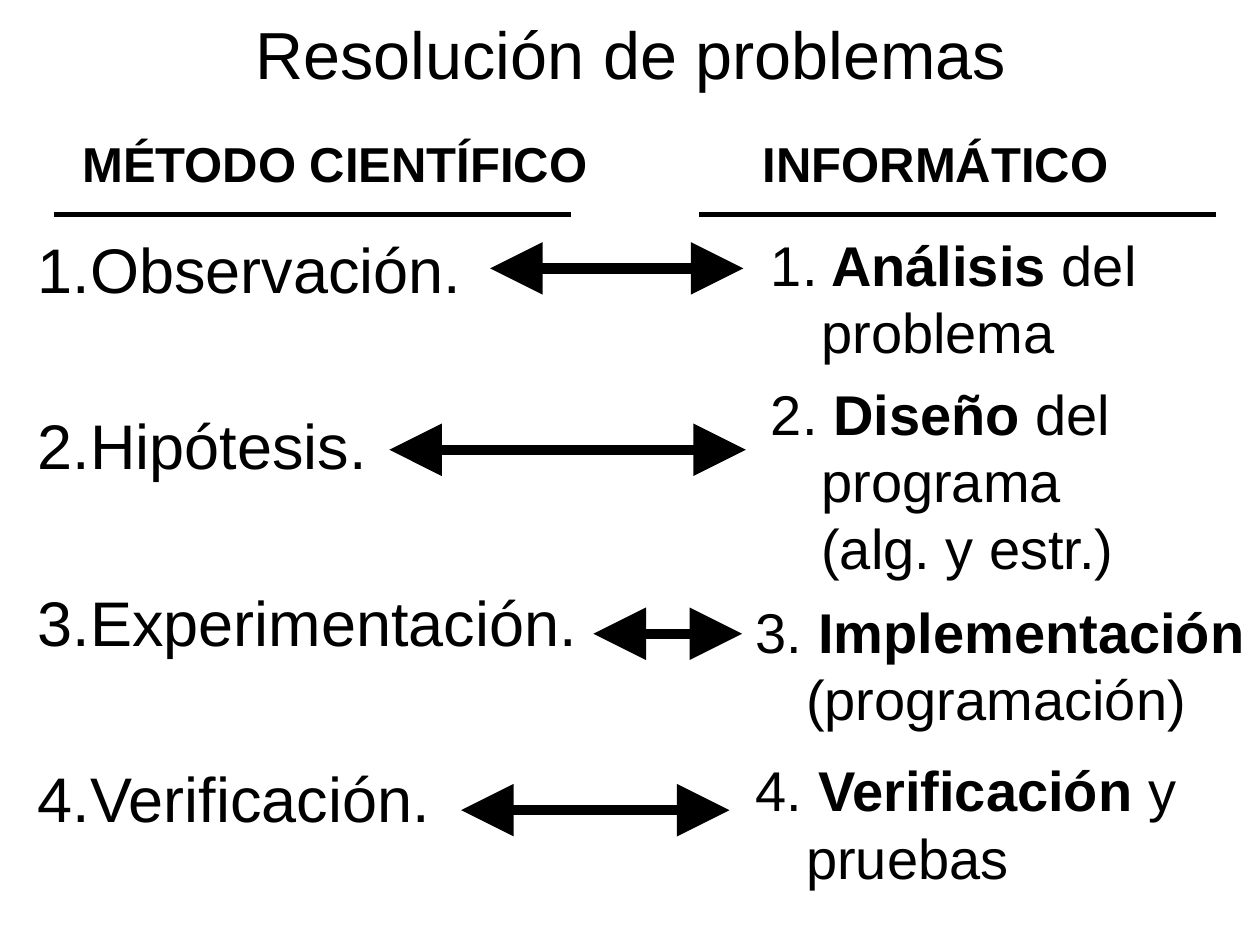
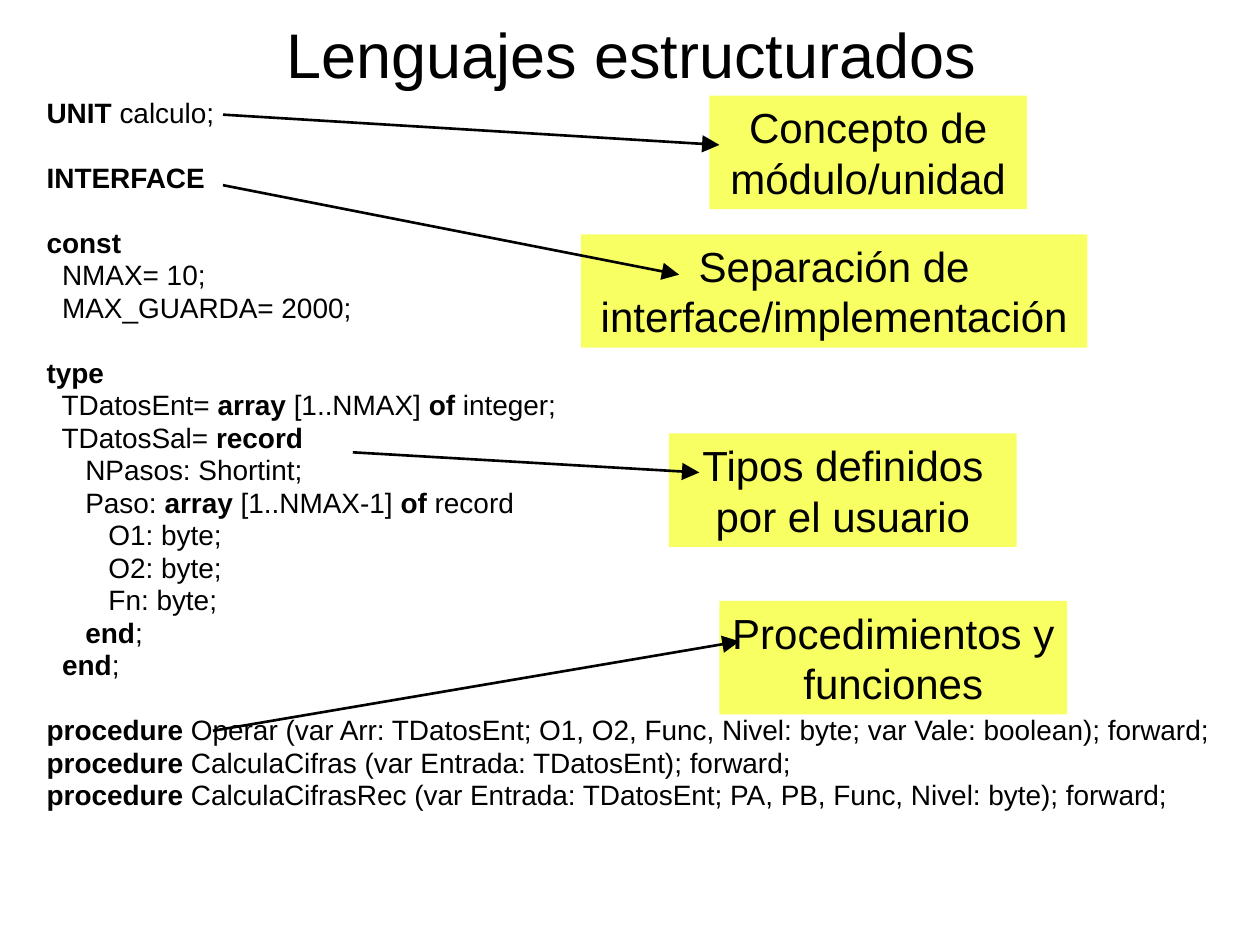
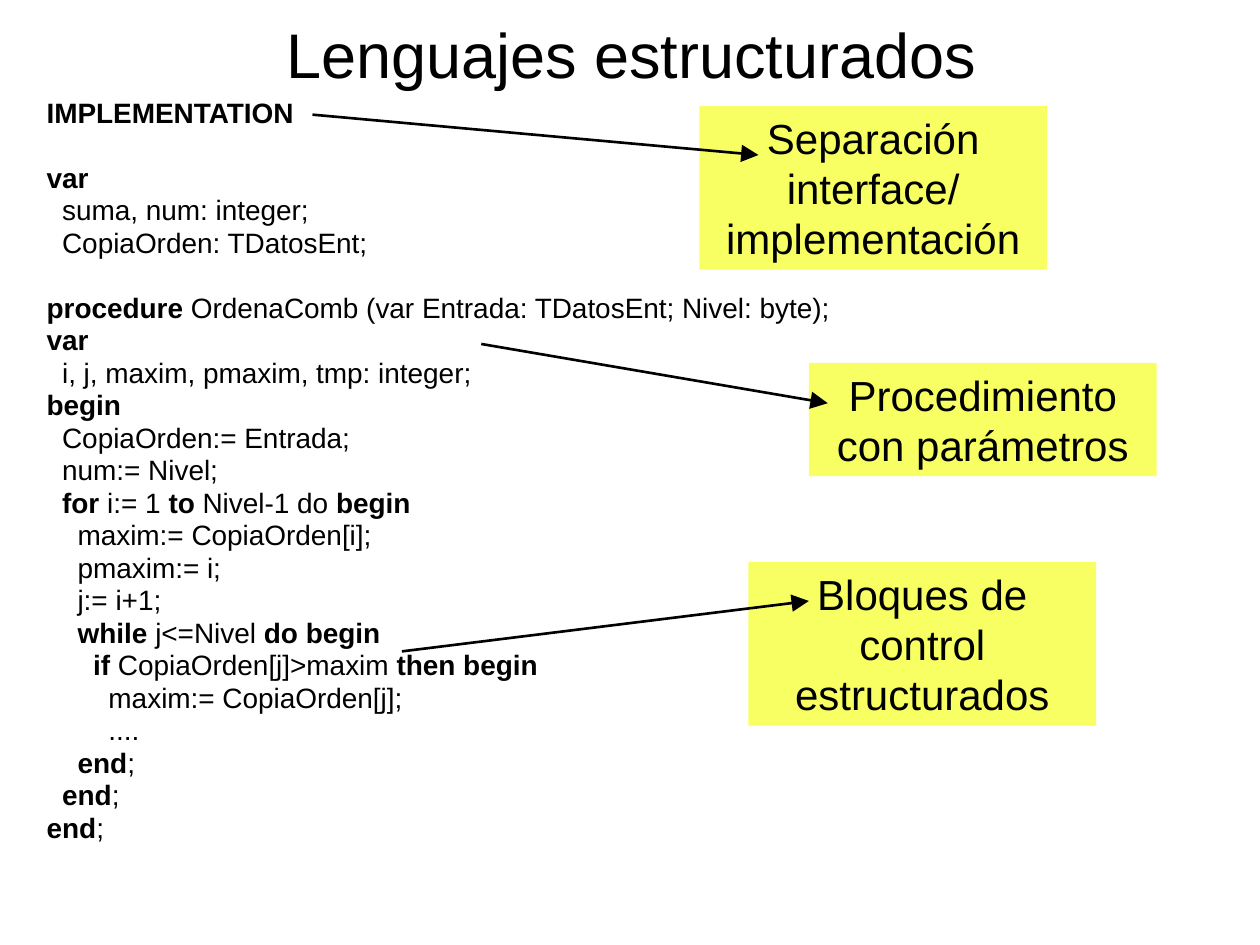
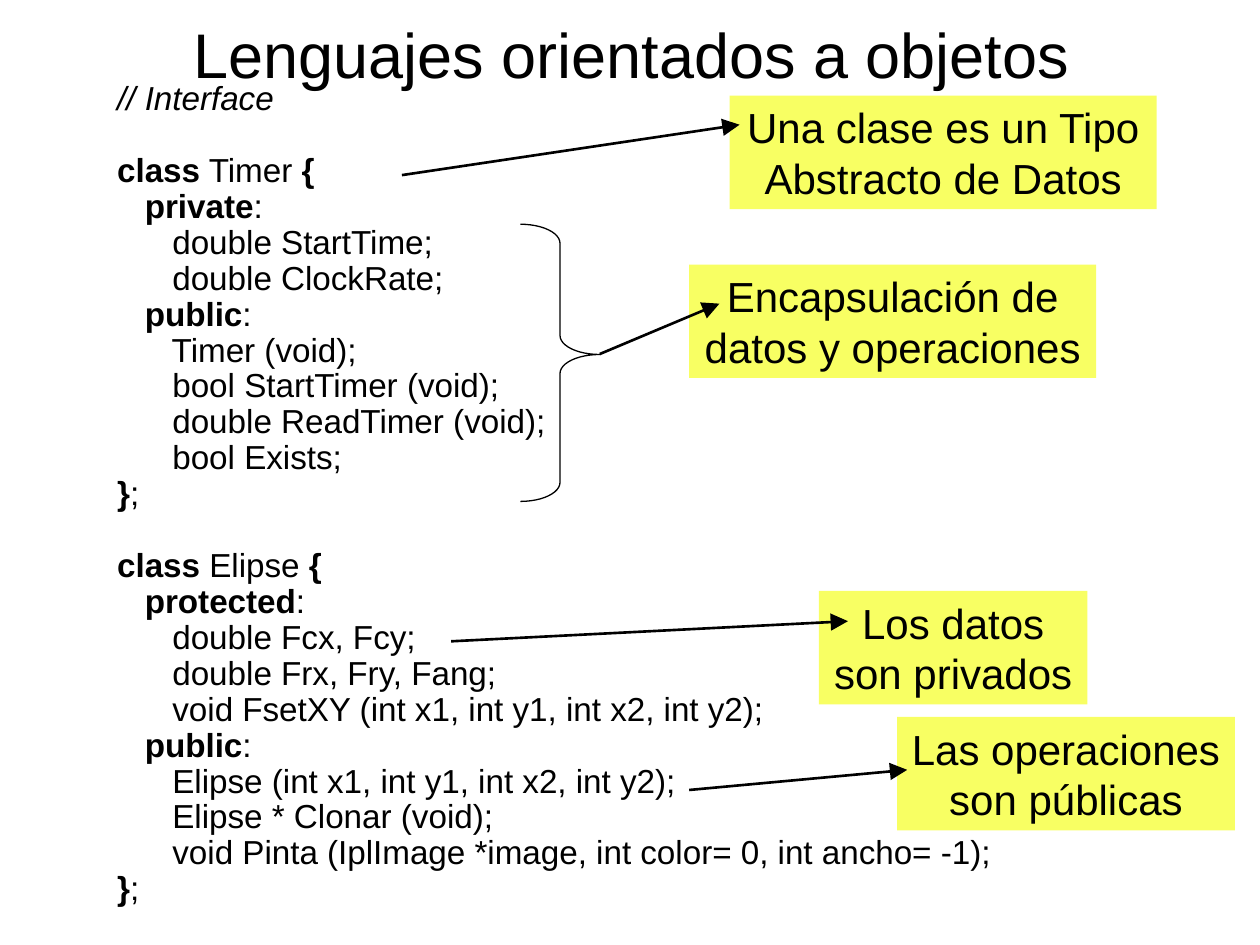
import pptx
import pptx.dml.color
import pptx.enum.shapes
import pptx.enum.text
import pptx.oxml.ns
import pptx.util
from lxml import etree

Inches, Pt = pptx.util.Inches, pptx.util.Pt
Shapes = pptx.enum.shapes.MSO_SHAPE
Align = pptx.enum.text.PP_ALIGN
Anchor = pptx.enum.text.MSO_ANCHOR

FONT, BLACK, YELLOW = "Arial", "000000", "F8FF63"
LINE_HEIGHT = 1.2  # line height of the font, as a share of its size
TITLE_AREA = (0.51, 0, 9, 0.84)

# In every text, "|" switches bold on and off.
METHOD = {
    "title": "Resolución de problemas",
    "heads": "|MÉTODO CIENTÍFICO\t\tINFORMÁTICO",
    "steps": ["Observación.", "", "Hipótesis.", "", "Experimentación.", "", "Verificación."],
    # text, box (left, top, width, height), arrow (from x, to x, y)
    "phases": [
        ("1.| Análisis |del problema", (6.02, 1.78, 3.23, 1.17), (3.89, 5.9, 2.13)),
        ("2. |Diseño| del programa (alg. y estr.)", (6.02, 2.96, 3.23, 1.7), (3.09, 5.92, 3.57)),
        ("3. |Implementación| (programación)", (5.9, 4.69, 4.1, 1.17), (4.71, 5.89, 5.03)),
        ("4. |Verificación| y pruebas", (5.9, 5.95, 4.1, 1.17), (3.66, 5.79, 6.43)),
    ],
    "rules": [0.43, 5.55],
}

# callouts: text, left, top, width, lines of text; arrows: from x, y, to x, y
CODE_PAGES = [
    {
        "title": "Lenguajes estructurados",
        "area": (0.27, 0.76, 9.53, 6.14),
        "format": {"size": 16, "spacing": 0.8, "gap": 3.2},
        "code": """\
|UNIT| calculo;

|INTERFACE

|const
  NMAX= 10;
  MAX_GUARDA= 2000;

|type
  TDatosEnt= |array| [1..NMAX] |of |integer;
  TDatosSal= |record
     NPasos: Shortint;
     Paso: |array| [1..NMAX-1] |of |record
        O1: byte;
        O2: byte;
        Fn: byte;
     |end|;
  |end|;

|procedure| Operar (var Arr: TDatosEnt; O1, O2, Func, Nivel: byte; var Vale: boolean); forward;
|procedure |CalculaCifras (var Entrada: TDatosEnt); forward;
|procedure |CalculaCifrasRec (var Entrada: TDatosEnt; PA, PB, Func, Nivel: byte); forward;""",
        "callouts": [
            ("Concepto de módulo/unidad", 5.63, 0.76, 2.52, 2),
            ("Separación de interface/implementación", 4.61, 1.86, 4.02, 2),
            ("Tipos definidos por el usuario", 5.31, 3.44, 2.76, 2),
            ("Procedimientos y funciones", 5.71, 4.77, 2.76, 2),
        ],
        "arrows": [(1.77, 1.47, 5.39, 2.18), (2.8, 3.59, 5.55, 3.75),
                   (1.69, 5.8, 5.87, 5.09), (1.77, 0.91, 5.71, 1.15)],
    },
    {
        "title": "Lenguajes estructurados",
        "area": (0.27, 0.76, 9.45, 6.3),
        "format": {"size": 16, "spacing": 0.8, "gap": 3.2},
        "code": """\
|IMPLEMENTATION

|var
  suma, num: integer;
  CopiaOrden: TDatosEnt;

|procedure| OrdenaComb (var Entrada: TDatosEnt; Nivel: byte);
|var
  i, j, maxim, pmaxim, tmp: integer;
|begin
  CopiaOrden:= Entrada;
  num:= Nivel;
  |for| i:= 1 |to| Nivel-1 do |begin
    maxim:= CopiaOrden[i];
    pmaxim:= i;
    j:= i+1;
    |while| j<=Nivel |do begin
      |if| CopiaOrden[j]>maxim |then begin
        maxim:= CopiaOrden[j];
        ....
    |end|;
  |end|;
|end|;""",
        "callouts": [
            ("Procedimiento con parámetros", 6.42, 2.88, 2.76, 2),
            ("Bloques de control estructurados", 5.94, 4.46, 2.76, 3),
            ("Separación interface/ implementación", 5.55, 0.84, 2.76, 3),
        ],
        "arrows": [(3.82, 2.73, 6.57, 3.2), (3.19, 5.17, 6.42, 4.77),
                   (2.48, 0.91, 6.02, 1.23)],
    },
    {
        "title": "Lenguajes orientados a objetos",
        "area": (0.83, 0.6, 8.9, 6.61),
        "format": {"size": 19, "spacing": 0.9},
        "code": """\
// Interface

|class| Timer |{
   |private|:
      double StartTime;
      double ClockRate;
   |public|:
      Timer (void);
      bool StartTimer (void);
      double ReadTimer (void);
      bool Exists;
|}|;

|class| Elipse |{
   |protected|:
      double Fcx, Fcy;
      double Frx, Fry, Fang;
      void FsetXY (int x1, int y1, int x2, int y2);
   |public|:
      Elipse (int x1, int y1, int x2, int y2);
      Elipse * Clonar (void);
      void Pinta (IplImage *image, int color= 0, int ancho= -1);
|}|;""",
        "callouts": [
            ("Encapsulación de datos y operaciones", 5.47, 2.1, 3.23, 2),
            ("Los datos son privados", 6.5, 4.69, 2.13, 2),
            ("Las operaciones son públicas", 7.12, 5.69, 2.68, 2),
            ("Una clase es un Tipo Abstracto de Datos", 5.79, 0.76, 3.39, 2),
        ],
        "arrows": [(3.58, 5.09, 6.73, 4.93), (5.47, 6.27, 7.2, 6.11),
                   (3.19, 1.39, 5.87, 0.99), (4.76, 2.81, 5.71, 2.41)],
        "brace": (4.13, 1.78, 0.63, 2.2),
    },
]


def color(value):
    return pptx.dml.color.RGBColor.from_string(value)


def place(shape, area):
    shape.left, shape.top, shape.width, shape.height = map(Inches, area)


def write(shape, lines, size, align=Align.LEFT, anchor=Anchor.TOP, spacing=1.0,
          gap=0, hanging=0, bullet="buNone"):
    """Fill a shape with lines; an empty line becomes space before the next one."""
    frame = shape.text_frame
    frame.word_wrap = True
    frame.auto_size = pptx.enum.text.MSO_AUTO_SIZE.NONE
    frame.vertical_anchor = anchor
    pitch = size * LINE_HEIGHT * spacing + gap
    before, para = 0, None
    for line in lines:
        if not line:
            before += pitch
            continue
        para = frame.add_paragraph() if para else frame.paragraphs[0]
        para.alignment = align
        para.line_spacing = spacing
        para.space_before = Pt(round(before, 2))
        before = gap
        props = para._p.get_or_add_pPr()
        props.set("marL", str(Inches(hanging)))
        props.set("indent", str(-Inches(hanging)))
        props.set("defTabSz", str(Inches(1)))
        mark = etree.SubElement(props, pptx.oxml.ns.qn("a:" + bullet))
        if bullet == "buAutoNum":
            mark.set("type", "arabicPeriod")
        para.font.size = Pt(size)
        for index, part in enumerate(line.split("|")):
            if part:
                span = para.add_run()
                span.text = part
                span.font.name, span.font.size = FONT, Pt(size)
                span.font.color.rgb = color(BLACK)
                span.font.bold = index % 2 == 1
                span.font.italic = line.startswith("//")


def add_page(deck, title, size):
    page = deck.slides.add_slide(deck.slide_layouts[1])
    place(page.shapes.title, TITLE_AREA)
    write(page.shapes.title, [title], size, align=Align.CENTER, anchor=Anchor.MIDDLE)
    return page


def add_text(page, text, area, size, **style):
    box = page.shapes.add_textbox(*map(Inches, area))
    write(box, [text], size, **style)


def add_line(page, points, width, ends=()):
    line = page.shapes.add_connector(pptx.enum.shapes.MSO_CONNECTOR.STRAIGHT, *map(Inches, points))
    line.line.color.rgb = color(BLACK)
    line.line.width = Pt(width)
    for end in ends:
        etree.SubElement(line.line._get_or_add_ln(), pptx.oxml.ns.qn("a:" + end),
                         type="triangle", w="lg", len="lg")
    etree.SubElement(line._element.spPr, pptx.oxml.ns.qn("a:effectLst"))


def add_callout(page, text, left, top, width, rows):
    area = (left, top, width, 0.1 + 0.4 * rows)
    box = page.shapes.add_shape(Shapes.RECTANGLE, *map(Inches, area))
    box.shadow.inherit = False
    box.fill.solid()
    box.fill.fore_color.rgb = color(YELLOW)
    box.line.fill.background()
    write(box, [text], 24, align=Align.CENTER)


def add_brace(page, area):
    brace = page.shapes.add_shape(Shapes.RIGHT_BRACE, *map(Inches, area))
    brace.shadow.inherit = False
    brace.fill.background()
    brace.line.color.rgb = color(BLACK)
    brace.line.width = Pt(0.75)
    brace.adjustments[0], brace.adjustments[1] = 0.24, 0.47


def method_page(deck):
    page = add_page(deck, METHOD["title"], 38)
    body = page.placeholders[1]
    place(body, (0.2, 1.78, 4.88, 5.2))
    write(body, METHOD["steps"], 36, gap=7.2, hanging=0.4, bullet="buAutoNum")
    add_text(page, METHOD["heads"], (0, 1.01, 9.45, 0.95), 28, align=Align.CENTER, hanging=0.4)
    for text, area, (start, end, y) in METHOD["phases"]:
        add_text(page, text, area, 32, hanging=0.4)
        add_line(page, (start, y, end, y), 6, ends=("headEnd", "tailEnd"))
    for left in METHOD["rules"]:
        add_line(page, (left, 1.7, left + 4.1, 1.7), 3)


def code_page(deck, content):
    page = add_page(deck, content["title"], 36)
    body = page.placeholders[1]
    place(body, content["area"])
    write(body, content["code"].split("\n"), hanging=0.38, **content["format"])
    for callout in content["callouts"]:
        add_callout(page, *callout)
    if "brace" in content:
        add_brace(page, content["brace"])
    for points in content["arrows"]:
        add_line(page, points, 1.5, ends=("tailEnd",))


def main():
    deck = pptx.Presentation()
    deck.slide_width, deck.slide_height = Inches(10), Inches(7.5)
    method_page(deck)
    for content in CODE_PAGES:
        code_page(deck, content)
    deck.save("out.pptx")


if __name__ == "__main__":
    main()
